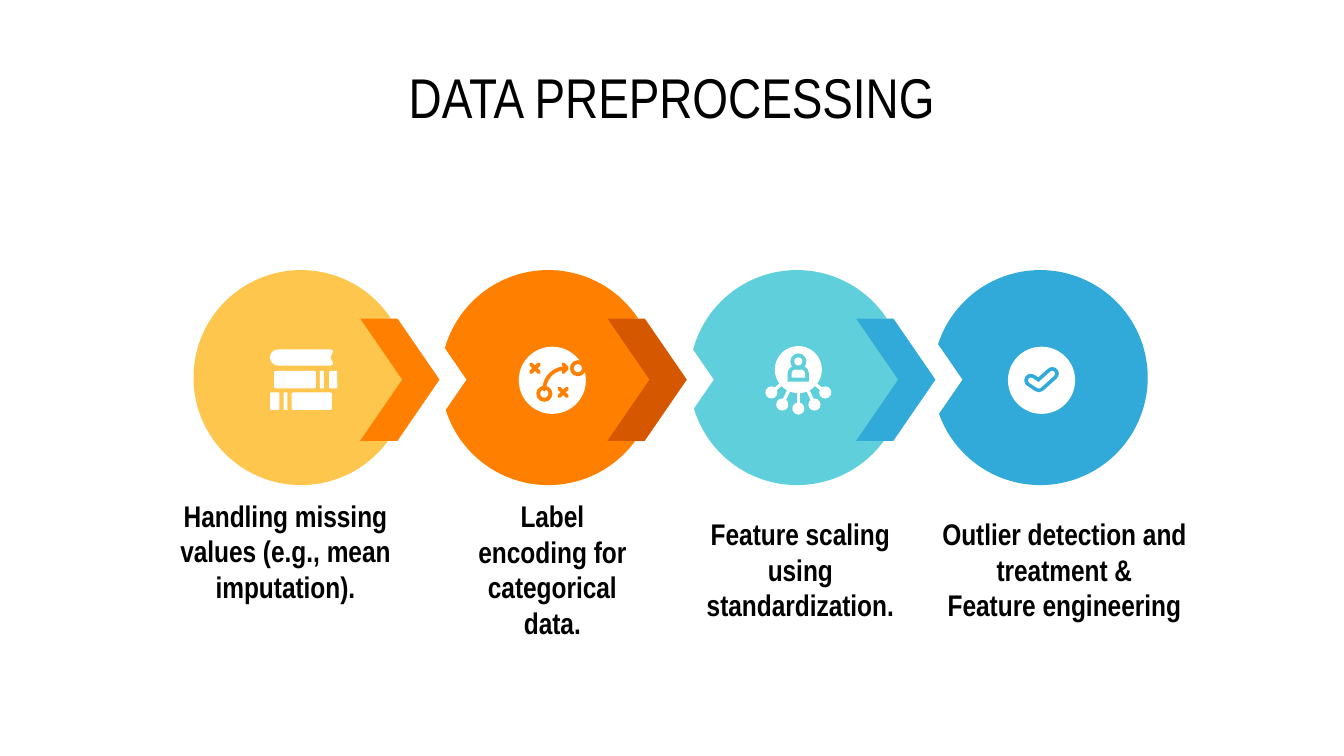
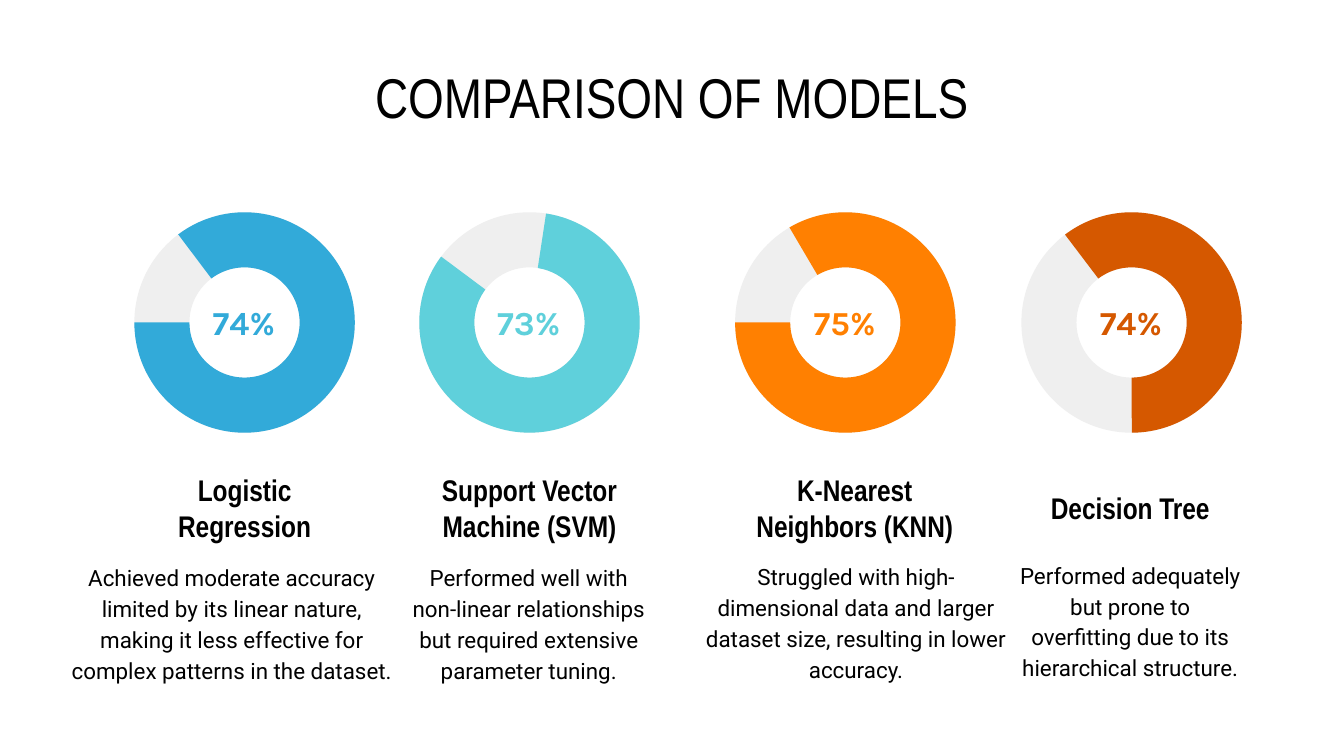
from math import cos, pi, sin
from lxml import etree
from pptx import Presentation
from pptx.dml.color import RGBColor
from pptx.enum.shapes import MSO_CONNECTOR, MSO_SHAPE
from pptx.enum.text import MSO_ANCHOR, MSO_AUTO_SIZE, PP_ALIGN
from pptx.oxml.ns import qn
from pptx.util import Inches, Pt

OVAL, RECT = MSO_SHAPE.OVAL, MSO_SHAPE.RECTANGLE
ROUND, ROUND_TOP = MSO_SHAPE.ROUNDED_RECTANGLE, MSO_SHAPE.ROUND_2_SAME_RECTANGLE
CHEVRON, ARC = MSO_SHAPE.CHEVRON, MSO_SHAPE.BLOCK_ARC
STRAIGHT = MSO_CONNECTOR.STRAIGHT
CENTER, MIDDLE = PP_ALIGN.CENTER, MSO_ANCHOR.MIDDLE
FIXED = MSO_AUTO_SIZE.NONE

THEME = {
    "ink": "000000", "white": "FFFFFF", "track": "EFEFEF",
    "yellow": "FFC64E", "orange": "FF8001", "rust": "D55800",
    "teal": "5FD0DB", "blue": "32AAD9",
    "title": {"name": "Arial Narrow", "size": Pt(30), "bold": False},
    "heading": {"name": "Arial Narrow", "size": Pt(16), "bold": True},
    "body": {"name": "Roboto", "size": Pt(12), "bold": False},
    "value": {"name": "Karla", "size": Pt(18), "bold": True},
}
SLIDE_W = 10
SLIDE_H = SLIDE_W * 9 / 16
TITLE_INSETS = (0.1, 0.1, 0.1, 0.1)
STEP_INSETS = (0.25, 0.25, 0.25, 0.25)
RAISED_INSETS = (0.25, 0, 0.25, 0.27)
MODEL_INSETS = (0.2, 0, 0.2, 0)

STEP_TITLE = "DATA PREPROCESSING"
STEPS = [
    {"x": 1.44, "color": "yellow", "arrow": "orange", "icon": "books",
     "icon_x": 2.01, "text_x": 0.81, "text_w": 2.63, "insets": RAISED_INSETS,
     "text": ["Handling missing values (e.g., mean imputation)."]},
    {"x": 3.28, "color": "orange", "arrow": "rust", "icon": "strategy",
     "icon_x": 3.86, "text_x": 3.2, "text_w": 1.82, "insets": STEP_INSETS,
     "text": ["Label encoding for categorical data."]},
    {"x": 5.13, "color": "teal", "arrow": "blue", "icon": "network",
     "icon_x": 5.69, "text_x": 4.96, "text_w": 1.99, "insets": STEP_INSETS,
     "text": ["Feature scaling using standardization."]},
    {"x": 6.94, "color": "blue", "arrow": None, "icon": "check",
     "icon_x": 7.5, "text_x": 6.73, "text_w": 2.38, "insets": STEP_INSETS,
     "text": ["Outlier detection and treatment &", "Feature engineering"]},
]
STEP_Y, STEP_D = 2.01, 1.6
ARROW_DX, NOTCH_DX, ARROW_Y, ARROW_W, ARROW_H = 1.24, 1.44, 2.37, 0.59, 0.91
ARROW_DEPTH = 0.53
ICON_Y = 2.58

MODEL_TITLE = "COMPARISON OF MODELS"
MODELS = [
    {"x": 1, "color": "blue", "value": "74%", "arc": (233, 179.98),
     "name": "Logistic Regression", "name_x": 0.78, "note_box": (0.33, 4.22, 2.79),
     "note": "Achieved moderate accuracy limited by its linear nature, "
             "making it less effective for complex patterns in the dataset."},
    {"x": 3.12, "color": "teal", "value": "73%", "arc": (278.65, 216.72),
     "name": "Support Vector Machine (SVM)", "name_x": 2.9, "note_box": (2.83, 4.22, 2.21),
     "note": "Performed well with non-linear relationships but required "
             "extensive parameter tuning."},
    {"x": 5.47, "color": "orange", "value": "75%", "arc": (239.55, 179.98),
     "name": "K-Nearest Neighbors (KNN)", "name_x": 5.32, "note_box": (5.05, 4.21, 2.64),
     "note": "Struggled with high-dimensional data and larger dataset size, "
             "resulting in lower accuracy."},
    {"x": 7.6, "color": "rust", "value": "74%", "arc": (232.88, 89.88),
     "name": "Decision Tree", "name_x": 7.37, "note_box": (7.37, 4.2, 2.08),
     "note": "Performed adequately but prone to overfitting due to its "
             "hierarchical structure."},
]
RING_Y, RING_D, RING_BAND = 1.58, 1.64, 0.25
FULL_RING = (180, 179.98)
DEGREE = 0.6


def rgb(name):
    return RGBColor.from_string(THEME[name])


def paint(s, color):
    s.shadow.inherit = False
    s.fill.solid()
    s.fill.fore_color.rgb = rgb(color)
    s.line.fill.background()


def add_shape(slide, kind, box, color, adj=()):
    s = slide.shapes.add_shape(kind, *map(Inches, box))
    for i, value in enumerate(adj):
        s.adjustments[i] = value
    paint(s, color)
    return s


def outline(slide, pts, close):
    pts = [(Inches(x), Inches(y)) for x, y in pts]
    b = slide.shapes.build_freeform(*pts[0])
    b.add_line_segments(pts[1:], close=close)
    return b.convert_to_shape()


def add_stroke(slide, pts, color, width):
    if len(pts) == 2:
        s = slide.shapes.add_connector(STRAIGHT, *map(Inches, pts[0] + pts[1]))
    else:
        s = outline(slide, pts, False)
        s.fill.background()
    s.line.color.rgb = rgb(color)
    s.line.width = Pt(width)
    ln = s.element.spPr.find(qn("a:ln"))
    ln.set("cap", "rnd")
    etree.SubElement(ln, qn("a:round"))
    etree.SubElement(s.element.spPr, qn("a:effectLst"))


def add_text(slide, box, lines, style, color="ink", insets=TITLE_INSETS, spacing=None):
    tf = slide.shapes.add_textbox(*map(Inches, box)).text_frame
    left, top, right, bottom = map(Inches, insets)
    frame = {"word_wrap": True, "auto_size": FIXED, "vertical_anchor": MIDDLE,
             "margin_left": left, "margin_top": top,
             "margin_right": right, "margin_bottom": bottom}
    for key, value in frame.items():
        setattr(tf, key, value)
    for i, line in enumerate(lines):
        p = tf.add_paragraph() if i else tf.paragraphs[0]
        p.alignment = CENTER
        if spacing:
            p.line_spacing = spacing
        r = p.add_run()
        r.text = line
        for key, value in THEME[style].items():
            setattr(r.font, key, value)
        r.font.color.rgb = rgb(color)


def add_dot(slide, cx, cy, d, color):
    add_shape(slide, OVAL, (cx - d / 2, cy - d / 2, d, d), color)


def add_ring(slide, cx, cy, color):
    add_dot(slide, cx, cy, 0.12, color)
    add_dot(slide, cx, cy, 0.06, "white")


def arc_points(cx, cy, radius, start, end, n=12):
    angles = [start + (end - start) * i / n for i in range(n + 1)]
    return [(cx + radius * cos(a), cy + radius * sin(a)) for a in angles]


def draw_books(slide, x, y, color):
    cover = arc_points(x + 0.06, y + 0.08, 0.06, 1.5 * pi, 0.5 * pi)
    edge = [(0.45, 0.14), (0.47, 0.13), (0.45, 0.08), (0.47, 0.03), (0.45, 0.02)]
    paint(outline(slide, cover + [(x + dx, y + dy) for dx, dy in edge], True), "white")
    for row, pieces in ((0.18, [(0.03, 0.31), (0.37, 0.03), (0.44, 0.06)]),
                        (0.34, [(0, 0.07), (0.1, 0.03), (0.16, 0.3)])):
        for dx, w in pieces:
            kind = RECT if w == 0.03 else ROUND
            add_shape(slide, kind, (x + dx, y + row, w, 0.13), "white",
                      () if kind == RECT else (0.1,))


def draw_strategy(slide, x, y, color):
    add_dot(slide, x + 0.25, y + 0.25, 0.5, "white")
    add_ring(slide, x + 0.19, y + 0.35, color)
    add_ring(slide, x + 0.44, y + 0.16, color)
    add_stroke(slide, arc_points(x + 0.35, y + 0.32, 0.16, pi, 1.5 * pi), color, 2)
    add_stroke(slide, [(x + 0.33, y + 0.13), (x + 0.36, y + 0.16), (x + 0.33, y + 0.19)],
               color, 2)
    for cx, cy in ((0.12, 0.16), (0.33, 0.34)):
        for d in (0.03, -0.03):
            add_stroke(slide, [(x + cx - 0.03, y + cy - d), (x + cx + 0.03, y + cy + d)],
                       color, 2)


def draw_network(slide, x, y, color):
    cx, cy = x + 0.25, y + 0.17
    for dx, dy in ((0.05, 0.34), (0.13, 0.43), (0.25, 0.46), (0.37, 0.43), (0.45, 0.34)):
        add_stroke(slide, [(cx, cy), (x + dx, y + dy)], "white", 1.75)
        add_dot(slide, x + dx, y + dy, 0.09, "white")
    add_dot(slide, cx, cy, 0.35, "white")
    add_shape(slide, ROUND_TOP, (cx - 0.08, y + 0.14, 0.16, 0.12), color, (0.5,))
    add_shape(slide, ROUND_TOP, (cx - 0.05, y + 0.17, 0.1, 0.06), "white", (0.5,))
    add_ring(slide, cx, y + 0.11, color)


def draw_check(slide, x, y, color):
    add_dot(slide, x + 0.25, y + 0.25, 0.5, "white")
    tick = [(x + 0.17, y + 0.25), (x + 0.23, y + 0.29), (x + 0.33, y + 0.2)]
    add_stroke(slide, tick, color, 7)
    add_stroke(slide, tick, "white", 3)


ICONS = {"books": draw_books, "strategy": draw_strategy,
         "network": draw_network, "check": draw_check}


def new_slide(prs, title):
    slide = prs.slides.add_slide(prs.slide_layouts[6])
    add_text(slide, (0.5, 0.45, SLIDE_W - 1, 0.53), [title], "title")
    return slide


def build_steps(prs):
    slide = new_slide(prs, STEP_TITLE)
    for step in reversed(STEPS):
        x = step["x"]
        add_shape(slide, ROUND, (x, STEP_Y, STEP_D, STEP_D), step["color"], (0.5,))
        if step["arrow"]:
            for dx, color in ((NOTCH_DX, "white"), (ARROW_DX, step["arrow"])):
                add_shape(slide, CHEVRON, (x + dx, ARROW_Y, ARROW_W, ARROW_H),
                          color, (ARROW_DEPTH,))
    for step in STEPS:
        add_text(slide, (step["text_x"], 3.85, step["text_w"], 0.77), step["text"],
                 "heading", insets=step["insets"])
        ICONS[step["icon"]](slide, step["icon_x"], ICON_Y, step["color"])


def build_models(prs):
    slide = new_slide(prs, MODEL_TITLE)
    for m in MODELS:
        x, color = m["x"], m["color"]
        for (start, end), fill in ((FULL_RING, "track"), (m["arc"], color)):
            add_shape(slide, ARC, (x, RING_Y, RING_D, RING_D), fill,
                      (start * DEGREE, end * DEGREE, RING_BAND))
        add_text(slide, (x + 0.35, 2.21, 0.93, 0.38), [m["value"]], "value", color)
        add_text(slide, (m["name_x"], 3.6, 2.08, 0.36), [m["name"]], "heading",
                 insets=MODEL_INSETS)
        add_text(slide, (*m["note_box"], 0.82), [m["note"]], "body",
                 insets=MODEL_INSETS, spacing=1.15)


def main():
    prs = Presentation()
    prs.slide_width, prs.slide_height = Inches(SLIDE_W), Inches(SLIDE_H)
    build_steps(prs)
    build_models(prs)
    prs.save("out.pptx")


if __name__ == "__main__":
    main()
